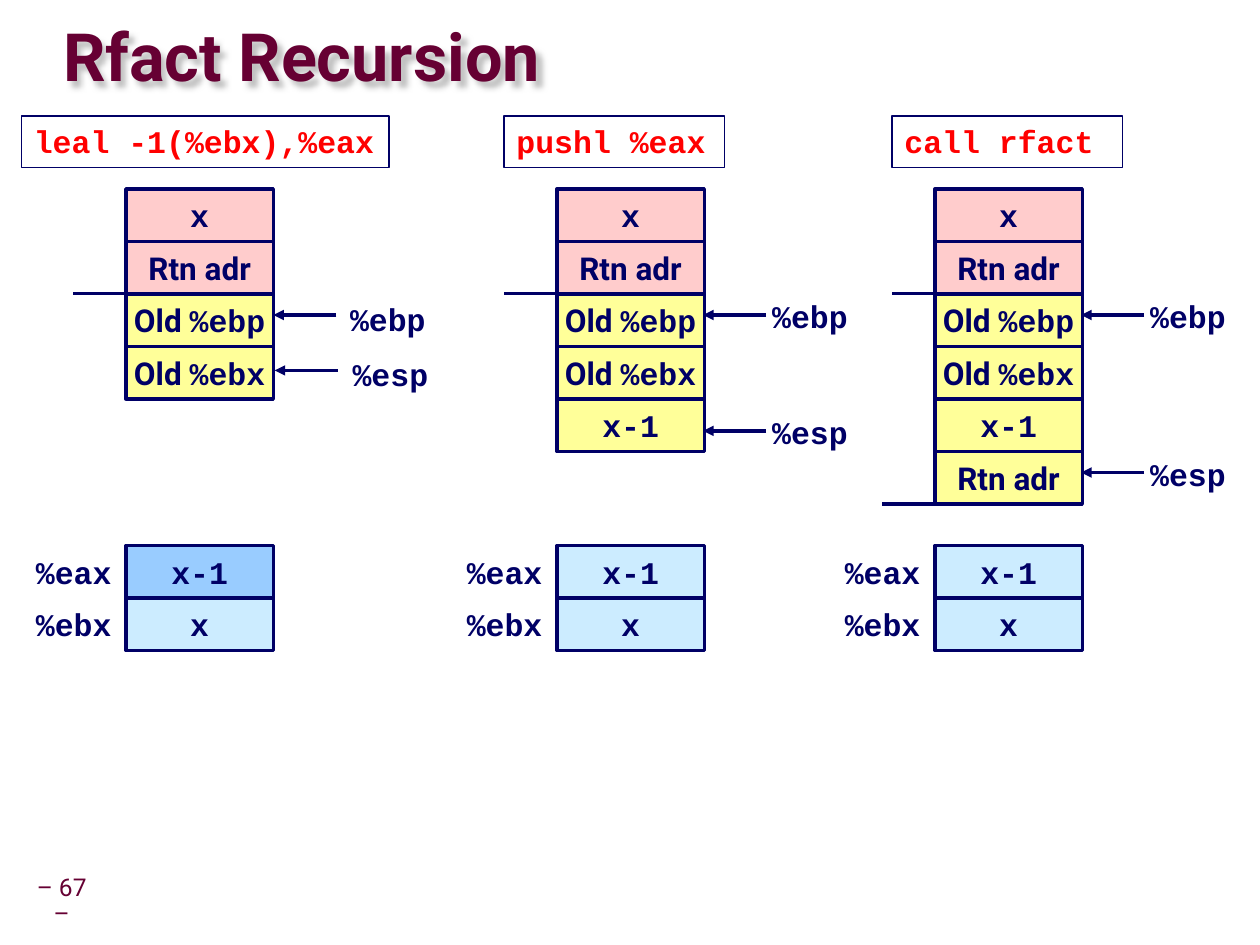
from dataclasses import dataclass

from lxml import etree
from pptx import Presentation
from pptx.dml.color import RGBColor
from pptx.enum import shapes as sh, text as tx
from pptx.oxml import ns
from pptx.util import Inches, Pt

NAVY, WINE, RED, WHITE = "000066", "660033", "FF0000", "FFFFFF"
PINK, CREAM, PALE, BLUE = "FFCCCC", "FFFF99", "CCECFF", "99CCFF"
MONO, SANS = "Courier New", "Roboto"
WIDE, HIGH = 1.17, 1.25 / 3
TOP, REGS = 1.5, 4.33
STACK = ["x", "Rtn adr", "Old %ebp", "Old %ebx", "x-1", "Rtn adr"]


@dataclass
class Mark:
    """A pointer: its name, arrow height, and the place of its label."""
    name: str
    y: float
    left: float
    top: float
    tip: float


@dataclass
class Step:
    code: str
    box: float
    width: float
    left: float
    depth: int
    eax: str
    ticks: list[tuple[float, float]]
    marks: list[Mark]


STEPS = [
    Step("leal -1(%ebx),%eax", 0.17, 2.92, 1, 4, BLUE, [(0.58, 2.33)],
         [Mark("%ebp", 2.5, 2.68, 2.33, 2.17), Mark("%esp", 2.94, 2.7, 2.77, 2.18)]),
    Step("pushl %eax", 4, 1.75, 4.42, 5, PALE, [(4, 2.33)],
         [Mark("%ebp", 2.5, 6.03, 2.31, 5.58), Mark("%esp", 3.42, 6.03, 3.23, 5.58)]),
    Step("call rfact", 7.08, 1.83, 7.42, 6, PALE, [(7.08, 2.33), (7, 4)],
         [Mark("%ebp", 2.5, 9.03, 2.31, 8.58), Mark("%esp", 3.75, 9.03, 3.56, 8.58)]),
]


def tint(code: str) -> RGBColor:
    return RGBColor.from_string(code)


def style(font, name: str, size: float, hue: str, bold: bool = True) -> None:
    font.name, font.size, font.bold = name, Pt(size), bold
    font.color.rgb = tint(hue)


def write(frame, words: str, hue: str = NAVY) -> None:
    """Set the text, in the code font except for plain words."""
    para = frame.paragraphs[0]
    if words.startswith("Old "):
        style(para.font, SANS, 18, hue)
        para.add_run().text = "Old "
        run = para.add_run()
        run.text = words[4:]
        run.font.name = MONO
    else:
        para.text = words
        style(para.font, SANS if words == "Rtn adr" else MONO, 18, hue)


def rect(slide, left: float, top: float, width: float, high: float,
         fill: str | None, line: float):
    box = slide.shapes.add_shape(sh.MSO_SHAPE.RECTANGLE, Inches(left), Inches(top),
                                 Inches(width), Inches(high))
    box.shadow.inherit = False
    if fill:
        box.fill.solid()
        box.fill.fore_color.rgb = tint(fill)
    else:
        box.fill.background()
    if line:
        box.line.color.rgb = tint(NAVY)
        box.line.width = Pt(line)
    else:
        box.line.fill.background()
    return box


def cell(slide, left: float, top: float, words: str, fill: str,
         width: float = WIDE, line: float = 2) -> None:
    frame = rect(slide, left, top, width, HIGH, fill, line).text_frame
    frame.word_wrap = False
    frame.vertical_anchor = tx.MSO_ANCHOR.MIDDLE
    frame.paragraphs[0].alignment = tx.PP_ALIGN.CENTER
    write(frame, words)


def rule(slide, start: float, end: float, y: float, arrow: bool = False) -> None:
    line = slide.shapes.add_connector(sh.MSO_CONNECTOR.STRAIGHT, Inches(start),
                                      Inches(y), Inches(end), Inches(y))
    line.line.color.rgb = tint(NAVY)
    line.line.width = Pt(2)
    if arrow:
        etree.SubElement(line.line._get_or_add_ln(), ns.qn("a:tailEnd"), type="triangle")
    etree.SubElement(line._element.spPr, ns.qn("a:effectLst"))


def label(slide, mark: Mark) -> None:
    box = slide.shapes.add_textbox(Inches(mark.left), Inches(mark.top),
                                   Inches(0.8), Inches(0.4))
    box.text_frame.word_wrap = False
    write(box.text_frame, mark.name)


def draw(slide, step: Step) -> None:
    """Draw the instruction, stack, pointers and registers of one step."""
    frame = rect(slide, step.box, 0.92, step.width, 0.41, None, 1).text_frame
    frame.word_wrap = True
    frame.vertical_anchor = tx.MSO_ANCHOR.TOP
    frame.paragraphs[0].alignment = tx.PP_ALIGN.LEFT
    write(frame, step.code, RED)

    for row, words in enumerate(STACK[:step.depth]):
        cell(slide, step.left, TOP + row * HIGH, words, PINK if row < 2 else CREAM)
    for start, y in step.ticks:
        rule(slide, start, start + 0.42, y)
    for mark in step.marks:
        rule(slide, mark.tip + 0.5, mark.tip, mark.y, arrow=True)
        label(slide, mark)

    regs = [("%eax", "x-1", step.eax), ("%ebx", "x", PALE)]
    for row, (name, value, fill) in enumerate(regs):
        top = REGS + row * HIGH
        cell(slide, step.left - 0.75, top, name, WHITE, 0.67, 0)
        cell(slide, step.left, top, value, fill)


def head(slide) -> None:
    title = slide.shapes.title
    title.left, title.top = Inches(0.5), Inches(0.17)
    title.width, title.height = Inches(6.31), Inches(0.63)
    frame = title.text_frame
    frame.margin_left = frame.margin_right = frame.margin_top = frame.margin_bottom = 0
    frame.vertical_anchor = tx.MSO_ANCHOR.MIDDLE
    para = frame.paragraphs[0]
    para.text = "Rfact Recursion"
    para.alignment = tx.PP_ALIGN.LEFT
    para.line_spacing = 0.87
    style(para.font, SANS, 38, WINE)
    effects = etree.SubElement(title._element.spPr, ns.qn("a:effectLst"))
    shade = etree.SubElement(effects, ns.qn("a:outerShdw"), blurRad="38100",
                             dist="50800", dir="2700000", algn="tl")
    etree.SubElement(shade, ns.qn("a:srgbClr"), val="C0C0C0")


def folio(slide) -> None:
    """Add the page number."""
    box = slide.shapes.add_textbox(Inches(0.24), Inches(7), Inches(0.66), Inches(0.31))
    frame = box.text_frame
    frame.margin_left = frame.margin_top = frame.margin_bottom = Inches(0.05)
    frame.margin_right = Inches(0.21)
    frame.word_wrap = True
    frame.vertical_anchor = tx.MSO_ANCHOR.MIDDLE
    para = frame.paragraphs[0]
    para.text = "– 67 –"
    para.alignment = tx.PP_ALIGN.CENTER
    para.line_spacing = 0.9
    style(para.font, SANS, 14, WINE, bold=False)


def main() -> None:
    deck = Presentation()
    deck.slide_width, deck.slide_height = Inches(10), Inches(7.5)
    slide = deck.slides.add_slide(deck.slide_layouts[5])
    head(slide)
    for step in STEPS:
        draw(slide, step)
    folio(slide)
    deck.save("out.pptx")


if __name__ == "__main__":
    main()
